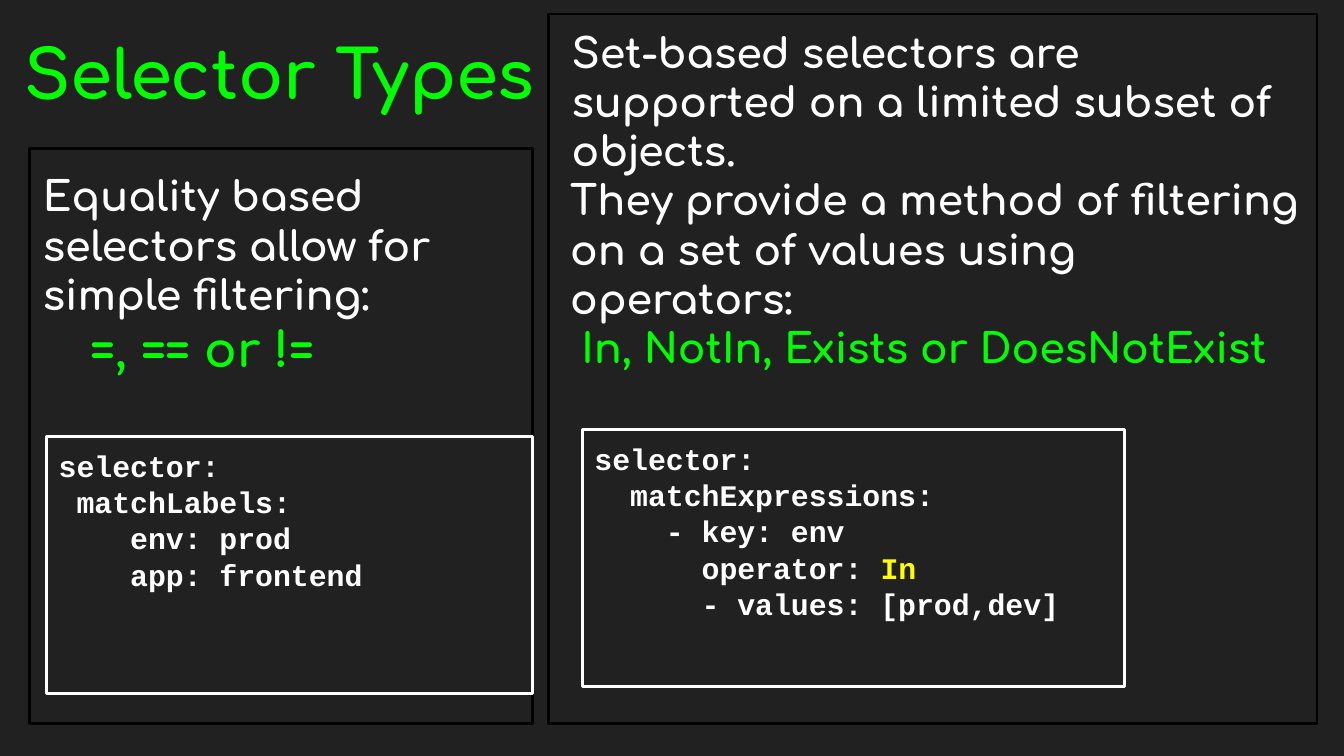
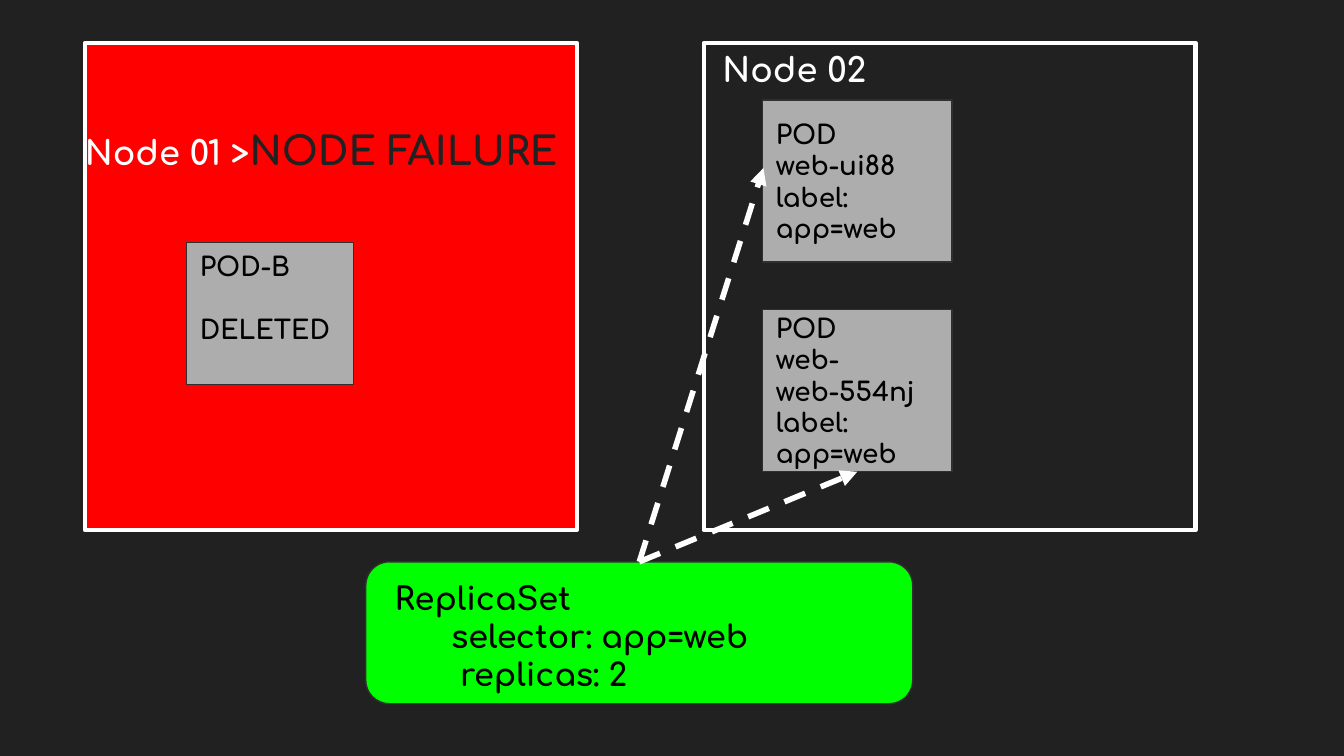
from pptx import Presentation
from pptx.dml.color import RGBColor
from pptx.enum.dml import MSO_LINE
from pptx.enum.shapes import MSO_CONNECTOR, MSO_SHAPE
from pptx.enum.text import MSO_ANCHOR, MSO_AUTO_SIZE, PP_ALIGN
from pptx.oxml.ns import qn
from pptx.util import Pt
from lxml.etree import SubElement

DARK = RGBColor(0x21, 0x21, 0x21)
BLACK = RGBColor(0, 0, 0)
WHITE = RGBColor(0xFF, 0xFF, 0xFF)
GREEN = RGBColor(0, 0xFF, 0)
RED = RGBColor(0xFF, 0, 0)
YELLOW = RGBColor(0xFF, 0xFF, 0)
GREY = RGBColor(0xAD, 0xAD, 0xAD)
EDGE = RGBColor(0x30, 0x30, 0x30)
HEADING_FONT = "Comfortaa"
CODE_FONT = "Courier New"


def style_box(box, place, fill=None, edge=None, weight=1.5):
    """Place a box and set its fill and outline."""
    box.left, box.top, box.width, box.height = (Pt(v) for v in place)
    if fill is None:
        box.fill.background()
    else:
        box.fill.solid()
        box.fill.fore_color.rgb = fill
    if edge is None:
        box.line.fill.background()
    else:
        box.line.color.rgb = edge
        box.line.width = Pt(weight)
    if not box.is_placeholder:
        box.shadow.inherit = False
    return box


def write(box, lines, size, color, font=HEADING_FONT, insets=(0, 0, 0, 0),
          anchor=MSO_ANCHOR.TOP, spacing=1.0):
    """Write lines of (runs, indent, space before); a run is (text, color, size)."""
    frame = box.text_frame
    frame.word_wrap = True
    frame.auto_size = MSO_AUTO_SIZE.NONE
    frame.vertical_anchor = anchor
    (frame.margin_left, frame.margin_top,
     frame.margin_right, frame.margin_bottom) = (Pt(v) for v in insets)
    for number, (runs, indent, before) in enumerate(lines):
        paragraph = frame.paragraphs[0] if number == 0 else frame.add_paragraph()
        properties = paragraph._p.get_or_add_pPr()
        properties.set("marL", str(Pt(indent)))
        properties.set("indent", "0")
        if box.is_placeholder:
            SubElement(properties, qn("a:buNone"))
        paragraph.alignment = PP_ALIGN.LEFT
        paragraph.line_spacing = spacing
        paragraph.space_before = Pt(before)
        paragraph.font.name = font
        paragraph.font.size = Pt(size)
        paragraph.font.bold = True
        paragraph.font.color.rgb = color
        for text, run_color, run_size in runs:
            run = paragraph.add_run()
            run.text = text
            if run_color is not None:
                run.font.color.rgb = run_color
            if run_size is not None:
                run.font.size = Pt(run_size)


prs = Presentation()
prs.slide_width, prs.slide_height = Pt(720), Pt(405)
background = prs.slide_master.background.fill
background.solid()
background.fore_color.rgb = DARK

# Slide 1: selector types
selectors = prs.slides.add_slide(prs.slide_layouts[5])
shapes = selectors.shapes
title = style_box(shapes.title, (13, 16.5, 278, 45.5))
write(title, [([("Selector Types", None, None)], 0, 0)], 36, GREEN,
      insets=(0, 1, 0, 0))

# Equality panel and set-based panel
equality = style_box(shapes.add_shape(MSO_SHAPE.RECTANGLE, 0, 0, 0, 0),
                     (16, 79.5, 269.5, 308), edge=BLACK)
write(equality, [
    ([("Equality based selectors allow for simple filtering:", None, None)], 7, 0),
    ([("=, == or !=", GREEN, 26)], 32.5, 0),
], 22, WHITE, insets=(0, 12, 0, 0))

style_box(shapes.add_shape(MSO_SHAPE.RECTANGLE, 0, 0, 0, 0),
          (294, 7.5, 411.5, 380), edge=BLACK)
set_based = style_box(shapes.add_textbox(0, 0, 0, 0), (305.5, 13.5, 399.5, 212.5))
write(set_based, [
    ([("Set-based selectors are supported on a limited subset of objects.",
       None, None)], 0.75, 0),
    ([("They provide a method of filtering on a set of values using operators:",
       None, None)], 0, 0),
    ([("In, NotIn, Exists or DoesNotExist", GREEN, None)], 6, 0),
], 22, WHITE, insets=(0, 1, 7, 0))

# YAML examples
yaml_examples = [
    ((312, 230, 290.5, 138), [
        [("selector:", None, None)],
        [("  matchExpressions:", None, None)],
        [("    - key: env", None, None)],
        [("      operator: ", None, None), ("In", YELLOW, None)],
        [("      - values: [prod,dev]", None, None)],
    ]),
    ((25, 233.75, 260.5, 138), [
        [("selector:", None, None)],
        [(" matchLabels:", None, None)],
        [("    env: prod", None, None)],
        [("    app: frontend", None, None)],
    ]),
]
for place, code in yaml_examples:
    example = style_box(shapes.add_shape(MSO_SHAPE.RECTANGLE, 0, 0, 0, 0),
                        place, edge=WHITE)
    write(example, [(runs, 6.5, 0) for runs in code], 16, WHITE,
          font=CODE_FONT, insets=(0, 6, 0, 0), spacing=1.01)

# Slide 2: node failure
failure = prs.slides.add_slide(prs.slide_layouts[3])
shapes = failure.shapes
shapes.title.element.getparent().remove(shapes.title.element)
failed_node, healthy_node = failure.placeholders

# Nodes
style_box(failed_node, (45.5, 23, 263.5, 261), RED, WHITE, 2.25)
write(failed_node, [([("Node 01 >", None, 18), ("NODE FAILURE", DARK, None)], 0, 0)],
      21, WHITE, insets=(0, 41, 0, 0), spacing=1.15)
style_box(healthy_node, (377, 23, 263.5, 261), None, WHITE, 2.25)
write(healthy_node, [([("Node 02", None, None)], 10, 0)], 18, WHITE, spacing=1.15)

# Pods: place, lines, gap between lines, bottom inset
pods = [
    ((408.5, 53.5, 101.5, 87), ["POD", "web-ui88", "label:", "app=web"], 0, 7.2),
    ((100, 130, 89.5, 76), ["POD-B", "DELETED"], 16.9, 24),
    ((408.5, 165.75, 101.5, 87), ["POD", "web-web-554nj", "label:", "app=web"], 0, 7.2),
]
for place, words, gap, bottom in pods:
    pod = style_box(shapes.add_shape(MSO_SHAPE.RECTANGLE, 0, 0, 0, 0),
                    place, GREY, EDGE, 0.75)
    write(pod, [([(word, None, None)], 0, gap if number else 0)
                for number, word in enumerate(words)],
          14, BLACK, insets=(7.2, 7.2, 7.2, bottom), anchor=MSO_ANCHOR.MIDDLE)

# ReplicaSet
replica_set = style_box(shapes.add_shape(MSO_SHAPE.ROUNDED_RECTANGLE, 0, 0, 0, 0),
                        (196, 301, 293, 76), GREEN, EDGE, 0.75)
write(replica_set, [
    ([("ReplicaSet", None, None)], 4.7, 0),
    ([("selector: app=web", None, None)], 35, 0),
    ([("replicas: 2", None, None)], 39.7, 0),
], 17, BLACK, insets=(7.2, 10.6, 7.2, 7.2), anchor=MSO_ANCHOR.MIDDLE)

# Arrows from the ReplicaSet to the pods it manages
for end_x, end_y in [(409, 90), (459.25, 252.75)]:
    arrow = shapes.add_connector(MSO_CONNECTOR.STRAIGHT, Pt(342.5), Pt(301),
                                 Pt(end_x), Pt(end_y))
    arrow.begin_connect(replica_set, 0)
    arrow.line.color.rgb = WHITE
    arrow.line.width = Pt(3)
    arrow.line.dash_style = MSO_LINE.DASH
    SubElement(arrow.line._get_or_add_ln(), qn("a:tailEnd"), type="triangle")
    SubElement(arrow._element.spPr, qn("a:effectLst"))

prs.save("out.pptx")
